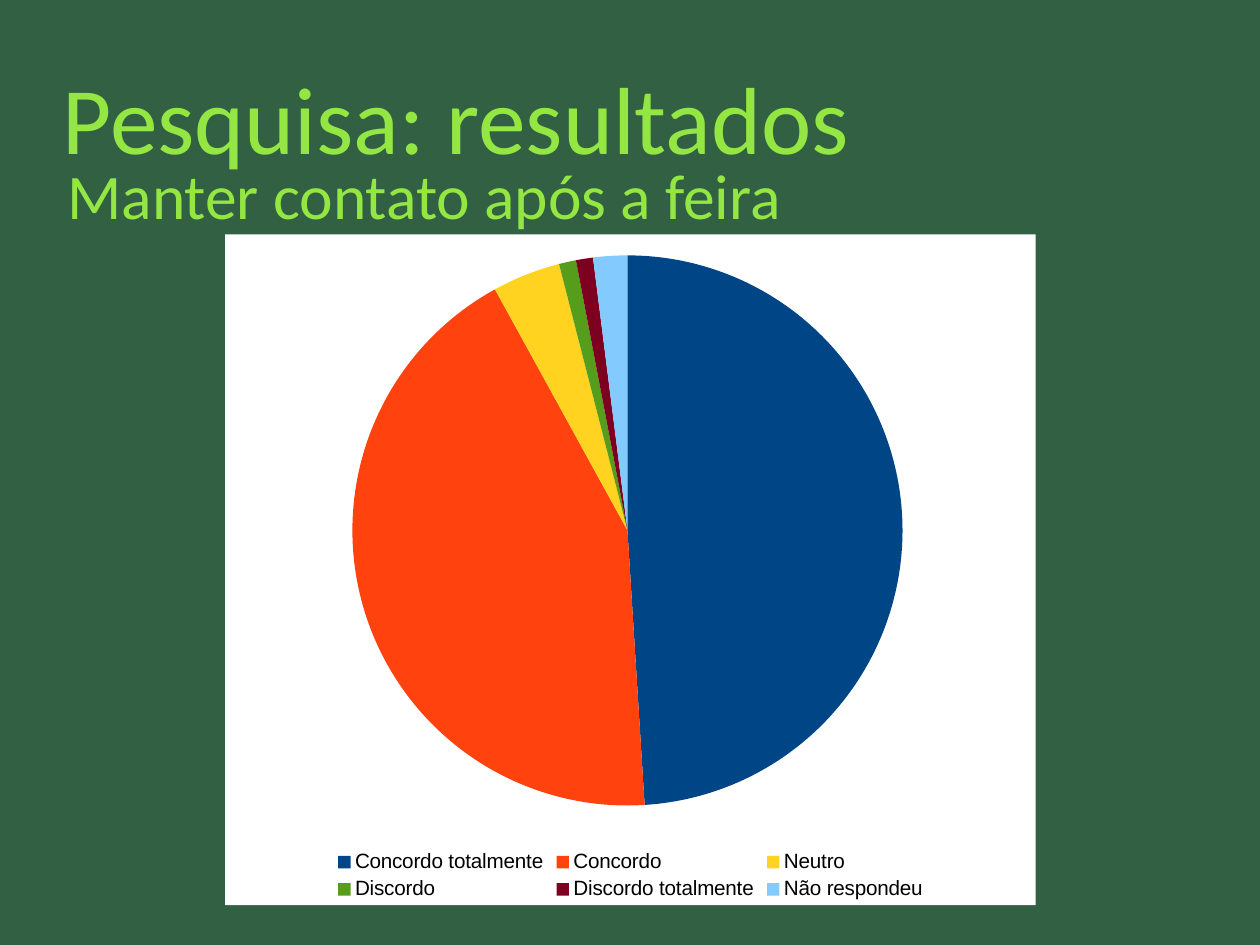
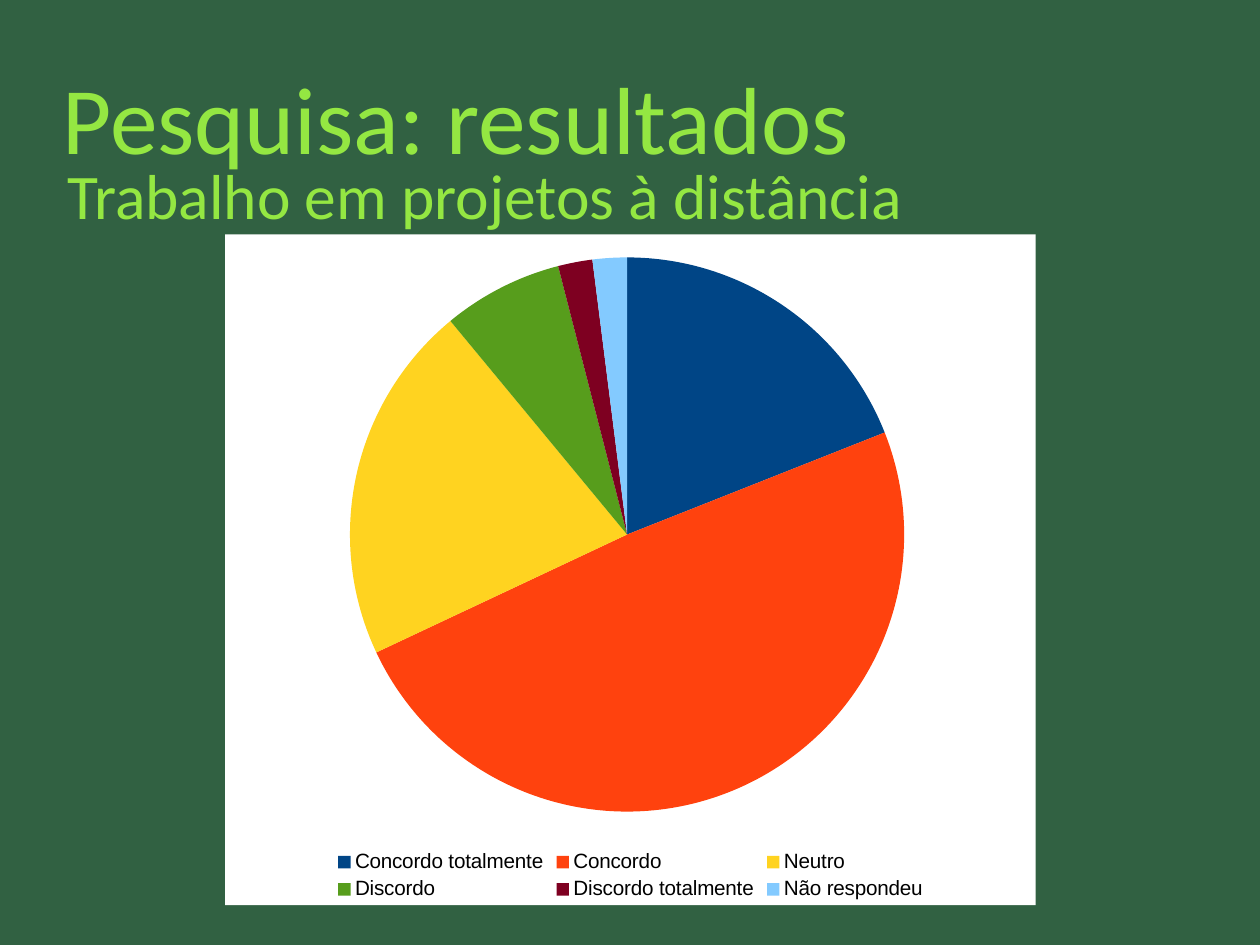
from pptx import Presentation
from pptx.chart.data import CategoryChartData
from pptx.dml.color import RGBColor
from pptx.enum import chart as charts, text
from pptx.oxml import parse_xml
from pptx.oxml.ns import nsdecls, qn
from pptx.util import Cm, Inches, Pt

# Shared style
BACKGROUND = RGBColor(0x31, 0x61, 0x42)
TITLE_COLOR = RGBColor(0x94, 0xE7, 0x42)
BLACK = RGBColor(0x00, 0x00, 0x00)
PANEL_COLOR = RGBColor(0xFF, 0xFF, 0xFF)
TITLE_FONT, CHART_FONT = "Calibri", "Arial"

ANSWERS = {
    "Concordo totalmente": RGBColor(0x00, 0x45, 0x86),
    "Concordo": RGBColor(0xFF, 0x42, 0x0E),
    "Neutro": RGBColor(0xFF, 0xD3, 0x20),
    "Discordo": RGBColor(0x57, 0x9D, 0x1C),
    "Discordo totalmente": RGBColor(0x7E, 0x00, 0x21),
    "Não respondeu": RGBColor(0x83, 0xCA, 0xFF),
}

# Boxes in inches: left, top, width, height
TITLE_BOX = (0.55, 0.33, 9.92, 1.38)
SUBTITLE_BOX = (0.59, 1.18, 9.92, 1.04)
CHART_BOX = (1.97, 2.05, 7.09, 5.87)

# Question, answers in percent, plot area in percent of the chart
RESULTS = [
    ("Manter contato após a feira", (49, 43, 4, 1, 1, 2),
     (15.7, 1, 67.9, 86.3)),
    ("Trabalho em projetos à distância", (19, 49, 21, 7, 2, 2),
     (15.4, 1.6, 68.4, 86.3)),
]


def add_heading(slide, box, wording, size):
    shape = slide.shapes.add_textbox(*map(Inches, box))
    frame = shape.text_frame
    frame.word_wrap = True
    frame.vertical_anchor = text.MSO_ANCHOR.MIDDLE
    frame.margin_left = frame.margin_right = 0
    frame.margin_top = frame.margin_bottom = 0
    paragraph = frame.paragraphs[0]
    paragraph.text = wording
    paragraph.font.name = TITLE_FONT
    paragraph.font.size = Pt(size)
    paragraph.font.color.rgb = TITLE_COLOR


def style_font(font, size):
    font.name = CHART_FONT
    font.size = Pt(size)
    font.color.rgb = BLACK


def place_plot(chart, plot_box):
    """Fix the plot area inside the chart."""
    plot_area = chart._chartSpace.chart.plotArea
    for layout in plot_area.findall(qn("c:layout")):
        plot_area.remove(layout)
    sizes = "".join(f'<c:{name} val="{percent / 100:.3f}"/>'
                    for name, percent in zip("xywh", plot_box))
    plot_area.insert(0, parse_xml(
        f'<c:layout {nsdecls("c")}><c:manualLayout>'
        '<c:layoutTarget val="outer"/>'
        '<c:xMode val="edge"/><c:yMode val="edge"/>'
        f'{sizes}</c:manualLayout></c:layout>'))


def fill_panel(chart):
    """Give the chart area a plain fill without a border."""
    chart._chartSpace.chart.addnext(parse_xml(
        f'<c:spPr {nsdecls("c", "a")}><a:solidFill>'
        f'<a:srgbClr val="{PANEL_COLOR}"/></a:solidFill>'
        '<a:ln><a:noFill/></a:ln></c:spPr>'))


def add_pie(slide, box, values, plot_box):
    data = CategoryChartData()
    data.categories = list(ANSWERS)
    data.add_series("Series 1", values)
    chart = slide.shapes.add_chart(
        charts.XL_CHART_TYPE.PIE, *map(Inches, box), data).chart
    chart.has_title = False
    style_font(chart.font, 10)
    fill_panel(chart)
    place_plot(chart, plot_box)

    # Legend
    chart.has_legend = True
    chart.legend.position = charts.XL_LEGEND_POSITION.BOTTOM
    chart.legend.include_in_layout = False
    style_font(chart.legend.font, 13)

    # Slices
    plot = chart.plots[0]
    plot.vary_by_categories = True
    for index, color in enumerate(ANSWERS.values()):
        point = plot.series[0].points[index]
        point.format.fill.solid()
        point.format.fill.fore_color.rgb = color
        point.format.line.fill.background()


def add_result_slide(presentation, question, values, plot_box):
    slide = presentation.slides.add_slide(presentation.slide_layouts[6])
    add_heading(slide, TITLE_BOX, "Pesquisa: resultados", 60)
    add_heading(slide, SUBTITLE_BOX, question, 40)
    add_pie(slide, CHART_BOX, values, plot_box)


def main():
    presentation = Presentation()
    # The page is 28 by 21 cm
    presentation.slide_width = Cm(28)
    presentation.slide_height = Cm(21)
    background = presentation.slide_master.background.fill
    background.solid()
    background.fore_color.rgb = BACKGROUND
    for result in RESULTS:
        add_result_slide(presentation, *result)
    presentation.save("out.pptx")


if __name__ == "__main__":
    main()
